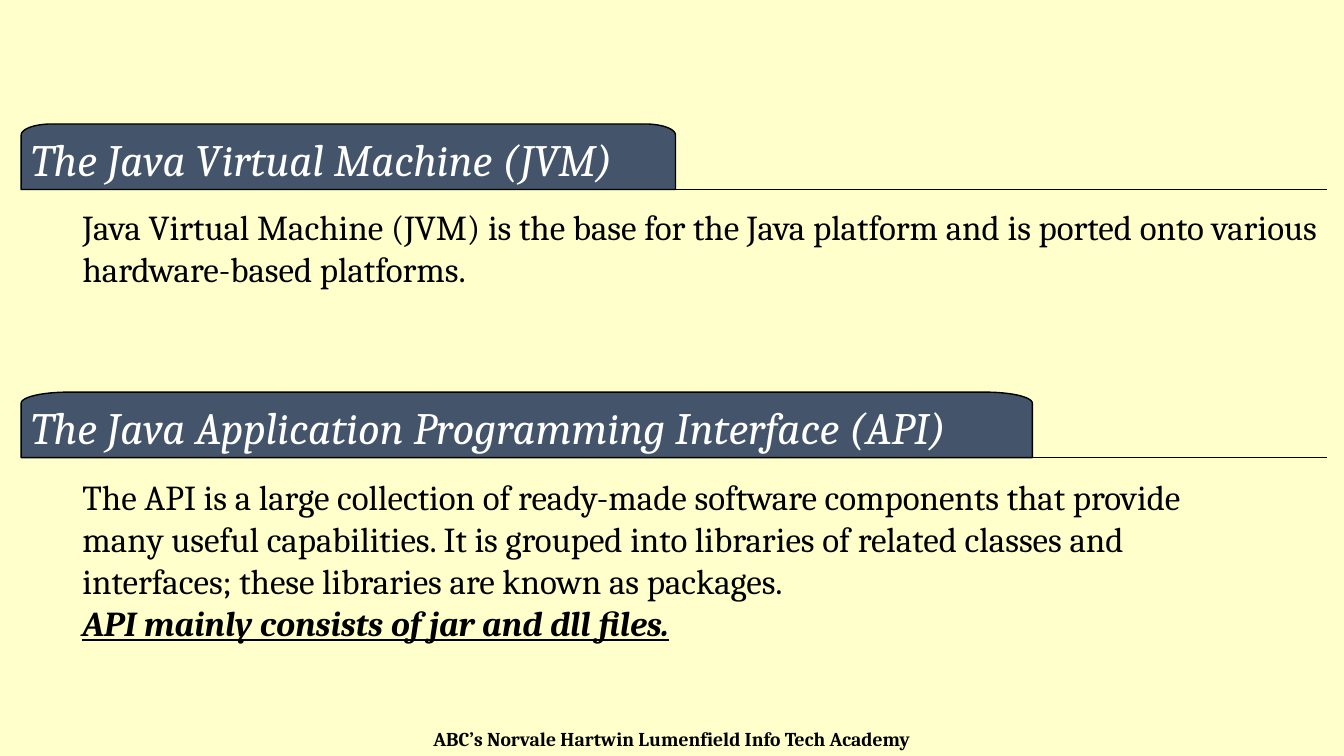
from math import cos, pi, sin

from lxml.etree import SubElement
from pptx import Presentation
from pptx.dml.color import RGBColor
from pptx.enum.shapes import MSO_CONNECTOR
from pptx.enum.text import MSO_ANCHOR, PP_ALIGN
from pptx.oxml.ns import qn
from pptx.util import Pt

PX = 9144
CREAM = RGBColor(0xFF, 0xFF, 0xCC)
SLATE = RGBColor(0x44, 0x54, 0x6A)
BLACK = RGBColor(0, 0, 0)
WHITE = RGBColor(0xFF, 0xFF, 0xFF)
FONT = "Cambria"
PAGE_WIDTH, PAGE_HEIGHT = 1333, 750
LEFT, RULE_WIDTH = 21, 1295
TAB_HEIGHT, CORNER_HEIGHT, CORNER_SHARE = 65, 11, 0.0465
ARC_STEPS = 12

SECTIONS = [
    (123, 649, "The Java Virtual Machine (JVM)", (72, 199, 1245, 94),
     ["Java Virtual Machine (JVM) is the base for the Java platform and is ported "
      "onto various hardware-based platforms."], None),
    (389, 1003, "The Java Application Programming Interface (API)", (72, 467, 1190, 178),
     ["The API is a large collection of ready-made software components that provide "
      "many useful capabilities. It is grouped into libraries of related classes and "
      "interfaces; these libraries are known as packages."],
     "API mainly consists of jar and dll files."),
]


def style_text(para, size, color, bold=False, italic=False, underline=False):
    """Format every run of a paragraph."""
    for span in para.runs:
        font = span.font
        font.name, font.size, font.color.rgb = FONT, Pt(size), color
        font.bold, font.italic, font.underline = bold, italic, underline


def add_text(page, box, lines, size, bold=False, align=PP_ALIGN.LEFT):
    """Add a wrapping text box and return its paragraphs."""
    frame = page.shapes.add_textbox(*(length * PX for length in box)).text_frame
    frame.word_wrap = True
    frame.text = "\n".join(lines)
    for para in frame.paragraphs:
        para.alignment = align
        style_text(para, size, BLACK, bold)
    return frame.paragraphs


def tab_outline(left, top, width, height):
    """Return the points of a tab with elliptical upper corners."""
    radius = width * CORNER_SHARE
    points = [(left, top + height)]
    for center, start in ((left + radius, pi), (left + width - radius, pi * 1.5)):
        for step in range(ARC_STEPS + 1):
            angle = start + step * pi / 2 / ARC_STEPS
            points.append((center + radius * cos(angle),
                           top + CORNER_HEIGHT * (1 + sin(angle))))
    points.append((left + width, top + height))
    return [(round(x * PX), round(y * PX)) for x, y in points]


def add_heading(page, box, title):
    """Add a heading tab standing on a long rule."""
    left, top, width, height = box
    group = page.shapes.add_group_shape()
    base = (top + height) * PX
    rule = group.shapes.add_connector(
        MSO_CONNECTOR.STRAIGHT, left * PX, base, (left + RULE_WIDTH) * PX, base)
    SubElement(rule.line._get_or_add_ln().getparent(), qn("a:effectLst"))

    start, *others = tab_outline(*box)
    builder = group.shapes.build_freeform(*start)
    builder.add_line_segments(others, close=True)
    tab = builder.convert_to_shape()
    tab.shadow.inherit = False
    tab.fill.solid()
    tab.fill.fore_color.rgb = SLATE
    for part in (rule, tab):
        part.line.color.rgb = BLACK
        part.line.width = Pt(1)

    frame = tab.text_frame
    frame.word_wrap = True
    frame.vertical_anchor = MSO_ANCHOR.MIDDLE
    frame.margin_left = frame.margin_right = frame.margin_top = 10 * PX
    frame.margin_bottom = 6 * PX
    frame.text = title
    para = frame.paragraphs[0]
    para.alignment = PP_ALIGN.LEFT
    style_text(para, 32, WHITE, italic=True)


def add_section(page, top, tab_width, title, body_box, lines, emphasis):
    """Add a heading with its body text and an optional stressed last line."""
    add_heading(page, (LEFT, top, tab_width, TAB_HEIGHT), title)
    paras = add_text(page, body_box, lines + ([emphasis] if emphasis else []), 25)
    if emphasis:
        style_text(paras[-1], 25, BLACK, bold=True, italic=True, underline=True)


def main():
    """Build the slide and save the deck."""
    deck = Presentation()
    deck.slide_width, deck.slide_height = PAGE_WIDTH * PX, PAGE_HEIGHT * PX
    page = deck.slides.add_slide(deck.slide_layouts[6])
    page.background.fill.solid()
    page.background.fill.fore_color.rgb = CREAM
    add_text(page, (0, 716, PAGE_WIDTH, 34),
             ["ABC’s Norvale Hartwin Lumenfield Info Tech Academy"],
             14, bold=True, align=PP_ALIGN.CENTER)
    for section in SECTIONS:
        add_section(page, *section)
    deck.save("out.pptx")


if __name__ == "__main__":
    main()
